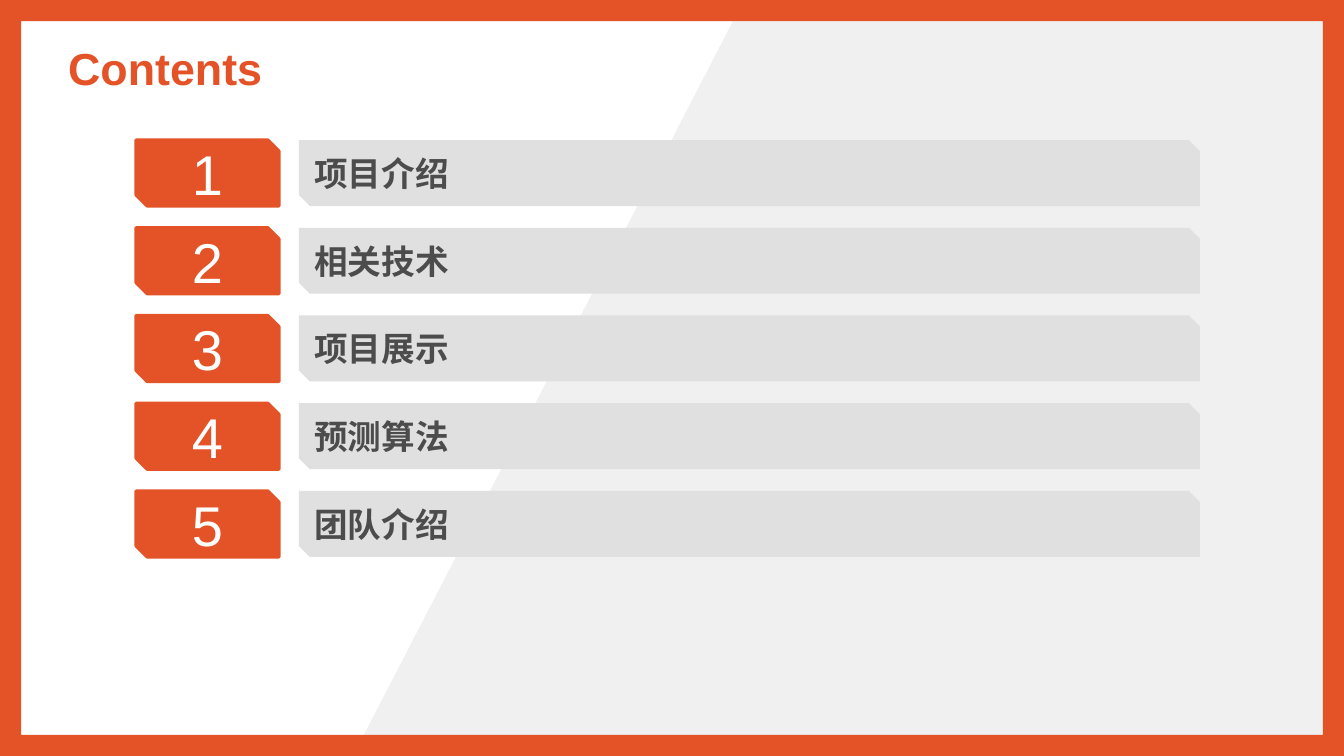
from lxml import etree
from pptx import Presentation
from pptx.dml.color import RGBColor
from pptx.enum.shapes import MSO_SHAPE as Preset
from pptx.enum.text import MSO_ANCHOR as Anchor, PP_ALIGN as Align
from pptx.oxml.ns import qn
from pptx.util import Pt

PX = 914400 / 100.8
WIDTH, HEIGHT = 1344, 756
FONT = "Arial"
COLORS = {
    "accent": "E45327",
    "backdrop": "F0F0F0",
    "bar": "E0E0E0",
    "text": "4C4C4C",
    "white": "FFFFFF",
}
SECTIONS = ["项目介绍", "相关技术", "项目展示", "预测算法", "团队介绍"]


def paint(shape, fill, line=None):
    shape.shadow.inherit = False
    shape.fill.solid()
    shape.fill.fore_color.rgb = RGBColor.from_string(COLORS[fill])
    if line:
        shape.line.color.rgb = RGBColor.from_string(COLORS[line])
        shape.line.width = Pt(2.25)
    else:
        shape.line.fill.background()


def write(shape, text, size, color, bold=False, align=Align.LEFT):
    frame = shape.text_frame
    frame.word_wrap = True
    frame.vertical_anchor = Anchor.MIDDLE
    para = frame.paragraphs[0]
    para.alignment = align
    span = para.add_run()
    span.text = text
    span.font.size = Pt(size)
    span.font.bold = bold
    span.font.color.rgb = RGBColor.from_string(COLORS[color])
    span.font.name = FONT
    # Chinese characters take their typeface from the East Asian font
    etree.SubElement(span._r.get_or_add_rPr(), qn("a:ea"), typeface=FONT)


deck = Presentation()
deck.slide_width = round(WIDTH * PX)
deck.slide_height = round(HEIGHT * PX)
slide = deck.slides.add_slide(deck.slide_layouts[5])
shapes = slide.shapes

# Backdrop and border
builder = shapes.build_freeform(744, 0, scale=PX)
builder.add_line_segments([(WIDTH, 0), (WIDTH, HEIGHT), (353, HEIGHT)], close=True)
paint(builder.convert_to_shape(), "backdrop")

border = shapes.add_shape(Preset.FRAME, 0, 0, deck.slide_width, deck.slide_height)
border.adjustments[0] = 0.028
paint(border, "accent")

# Title, raised above the backdrop
title = shapes.title
title.element.getparent().append(title.element)
title.left, title.top, title.width, title.height = (
    round(length * PX) for length in (58, 28, 1228, 80)
)
write(title, "Contents", 32, "accent", bold=True)

# Numbered sections, spread evenly from the first row to the last
FIRST_TOP, LAST_TOP, ROW_HEIGHT = 140, 491, 66
pitch = (LAST_TOP - FIRST_TOP) / (len(SECTIONS) - 1)
for row, section in enumerate(SECTIONS):
    top = round((FIRST_TOP + row * pitch) * PX)
    number, bar = (
        shapes.add_shape(
            Preset.SNIP_2_DIAG_RECTANGLE,
            round(left * PX), top, round(width * PX), round(ROW_HEIGHT * PX),
        )
        for left, width in ((136, 143), (299, 901))
    )
    paint(number, "accent", line="accent")
    write(number, str(row + 1), 40, "white", align=Align.CENTER)
    paint(bar, "bar")
    write(bar, section, 24, "text", bold=True)

deck.save("out.pptx")
